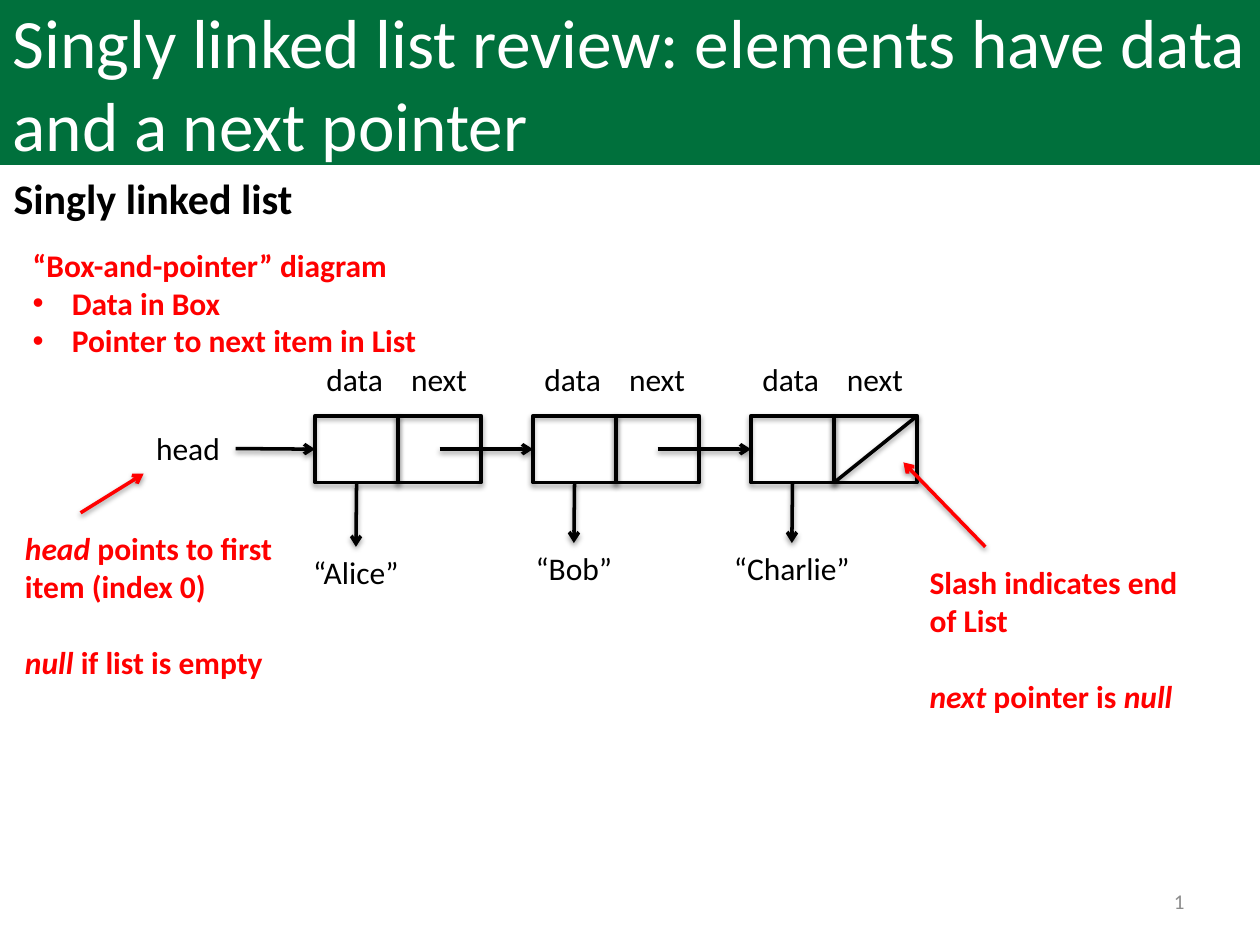
from lxml import etree
from pptx import Presentation
from pptx.dml.color import RGBColor
from pptx.enum import shapes, text
from pptx.oxml import parse_xml
from pptx.oxml.ns import nsdecls, qn
from pptx.util import Inches, Pt

BLACK, RED, GREEN, WHITE, GRAY = "000000", "FF0000", "00703C", "FFFFFF", "8C8C8C"
CELL_W, CELL_H, NODE_STEP = 0.66, 0.53, 1.73
SHADOW = (
    f'<a:effectLst {nsdecls("a")}><a:outerShdw blurRad="{Pt(3.1)}" dist="{Pt(1.6)}" '
    'dir="5400000" rotWithShape="0"><a:srgbClr val="000000"><a:alpha val="38000"/>'
    "</a:srgbClr></a:outerShdw></a:effectLst>"
)


def color(value):
    return RGBColor.from_string(value)


def place(shape, box):
    shape.left, shape.top, shape.width, shape.height = map(Inches, box)


def write(frame, *lines, size=18, ink=BLACK, bold=False, align=text.PP_ALIGN.LEFT,
          anchor=text.MSO_ANCHOR.TOP, gap=0):
    """Fill a frame, one paragraph a line; words between asterisks are italic."""
    frame.word_wrap = True
    frame.auto_size = text.MSO_AUTO_SIZE.NONE
    frame.vertical_anchor = anchor
    for index, line in enumerate(lines):
        paragraph = frame.add_paragraph() if index else frame.paragraphs[0]
        paragraph.alignment = align
        paragraph.space_before = Pt(gap if index else 0)
        for part, words in enumerate(line.split("*")):
            if not words:
                continue
            run = paragraph.add_run()
            run.text = words
            font = run.font
            font.name, font.size, font.bold = "Calibri", Pt(size), bold
            font.italic = part % 2 == 1
            font.color.rgb = color(ink)


def add_label(slide, box, *lines, **style):
    label = slide.shapes.add_textbox(*map(Inches, box))
    write(label.text_frame, *lines, **style)
    return label


def add_line(slide, start, end, ink=BLACK, arrow=True):
    line = slide.shapes.add_connector(
        shapes.MSO_CONNECTOR.STRAIGHT, *map(Inches, (*start, *end)))
    line.line.color.rgb = color(ink)
    line.line.width = Pt(2)
    if arrow:
        etree.SubElement(line.line._get_or_add_ln(), qn("a:tailEnd"), type="arrow")
    line._element.spPr.append(parse_xml(SHADOW))
    return line


def add_cell(slide, left, top):
    cell = slide.shapes.add_shape(
        shapes.MSO_SHAPE.RECTANGLE, *map(Inches, (left, top, CELL_W, CELL_H)))
    cell.fill.background()
    cell.line.color.rgb = color(BLACK)
    cell.line.width = Pt(2)
    cell.shadow.inherit = False
    properties = cell._element.spPr
    properties.replace(properties.find(qn("a:effectLst")), parse_xml(SHADOW))
    return cell


def add_node(slide, left, top, value, value_top):
    """Draw one element with its data and next cells; return the data cell."""
    centered = {"align": text.PP_ALIGN.CENTER}
    data, following = (add_cell(slide, left + i * CELL_W, top) for i in range(2))
    for i, name in enumerate(("data", "next")):
        add_label(slide, (left - 0.02 + i * 0.67, top - 0.49, 0.67, 0.4), name, **centered)
    middle, bottom = left + CELL_W / 2, top + CELL_H
    content = add_label(slide, (middle - 0.67, value_top, 1.33, 0.4), value, **centered)
    pointer = add_line(slide, (middle, bottom), (middle, value_top))
    pointer.begin_connect(data, 2)
    pointer.end_connect(content, 0)
    return data


def add_linked_list(slide, left, top):
    head = add_label(slide, (left - 1.36, top + 0.06, 0.73, 0.4), "head")
    values = (("“Alice”", 4.34), ("“Bob”", 4.31), ("“Charlie”", 4.31))
    nodes = [add_node(slide, left + i * NODE_STEP, top, value, value_top)
             for i, (value, value_top) in enumerate(values)]
    middle = top + CELL_H / 2

    # Head pointer, then the pointer from each element to the following one
    first = add_line(slide, (left - 0.63, middle), (left, middle))
    first.begin_connect(head, 3)
    first.end_connect(nodes[0], 1)
    for i, node in enumerate(nodes[1:], start=1):
        target = left + i * NODE_STEP
        pointer = add_line(slide, (target - 0.74, middle), (target, middle))
        pointer.end_connect(node, 1)

    # Slash through the last next cell
    last = left + (len(nodes) - 1) * NODE_STEP + CELL_W
    add_line(slide, (last + CELL_W, top), (last, top + CELL_H), arrow=False)


def add_title(slide, box):
    title = slide.shapes.title
    place(title, box)
    title.fill.solid()
    title.fill.fore_color.rgb = color(GREEN)
    write(title.text_frame,
          "Singly linked list review: elements have data and a next pointer",
          size=39.6, ink=WHITE, anchor=text.MSO_ANCHOR.MIDDLE)


def add_key_points(slide, box):
    points = slide.placeholders[1]
    place(points, box)
    write(points.text_frame, "“Box-and-pointer” diagram", "Data in Box",
          "Pointer to next item in List", ink=RED, bold=True)
    for index, paragraph in enumerate(points.text_frame.paragraphs):
        properties = paragraph._p.get_or_add_pPr()
        indent = Inches(0.31) if index else 0
        properties.set("marL", str(indent))
        properties.set("indent", str(-indent))
        if index:
            etree.SubElement(properties, qn("a:buFont"), typeface="Arial")
            etree.SubElement(properties, qn("a:buChar"), char="•")
        else:
            etree.SubElement(properties, qn("a:buNone"))


def add_note(slide, box, arrow_start, arrow_end, *lines):
    add_label(slide, box, *lines, ink=RED, bold=True, gap=22)
    add_line(slide, arrow_start, arrow_end, ink=RED)


def main():
    deck = Presentation()
    deck.slide_width, deck.slide_height = Inches(10), Inches(7.5)
    slide = deck.slides.add_slide(deck.slide_layouts[1])

    # Heading and key points
    add_title(slide, (0, 0, 10, 1.31))
    add_label(slide, (0.01, 1.32, 9, 0.5), "Singly linked list", size=24, bold=True)
    add_key_points(slide, (0.16, 1.9, 3.67, 1.01))

    # Diagram with its notes
    add_linked_list(slide, 2.5, 3.3)
    add_note(slide, (7.28, 4.42, 2.34, 1.31), (7.82, 4.34), (7.17, 3.67),
             "Slash indicates end of List", "*next* pointer is *null*")
    add_note(slide, (0.1, 4.15, 2.34, 1.31), (0.64, 4.07), (1.14, 3.76),
             "*head* points to first item (index 0)", "*null* if list is empty")

    # Page number
    add_label(slide, (7.17, 6.95, 2.33, 0.4), "1", size=12, ink=GRAY,
              align=text.PP_ALIGN.RIGHT, anchor=text.MSO_ANCHOR.MIDDLE)
    deck.save("out.pptx")


if __name__ == "__main__":
    main()
